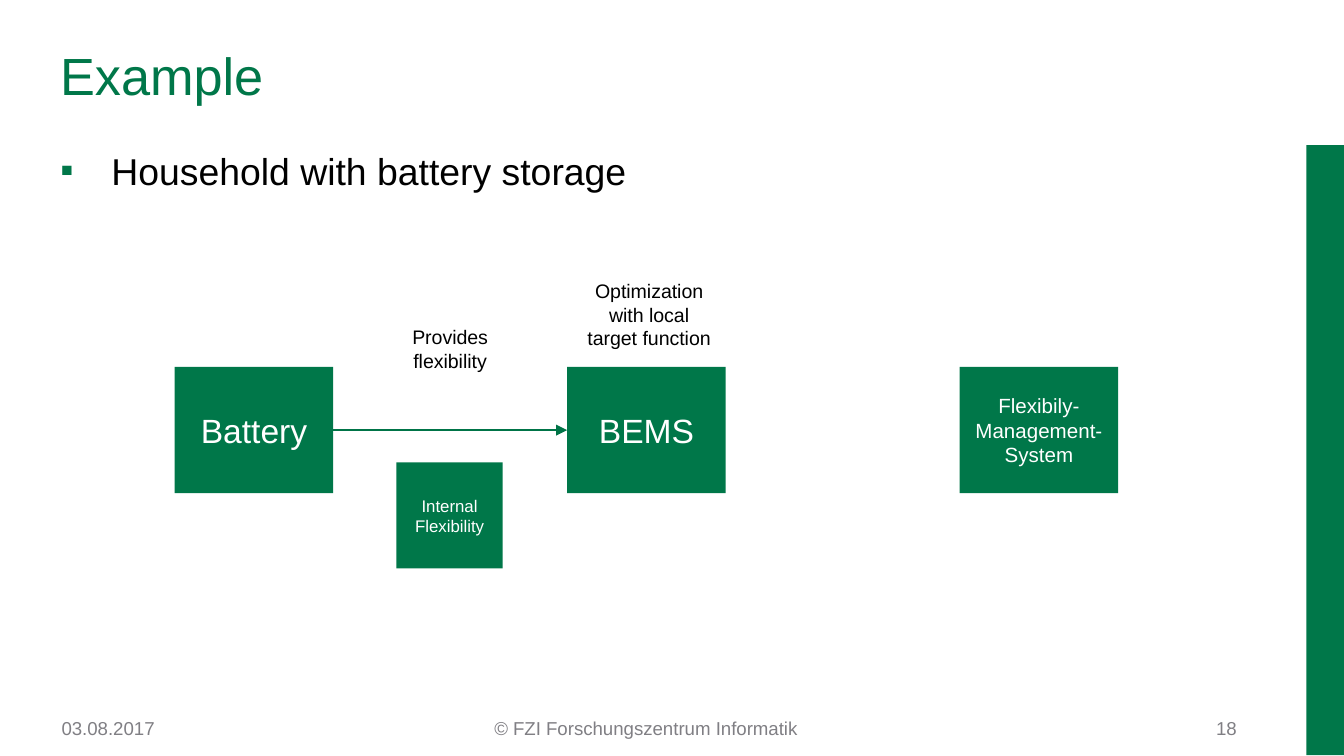
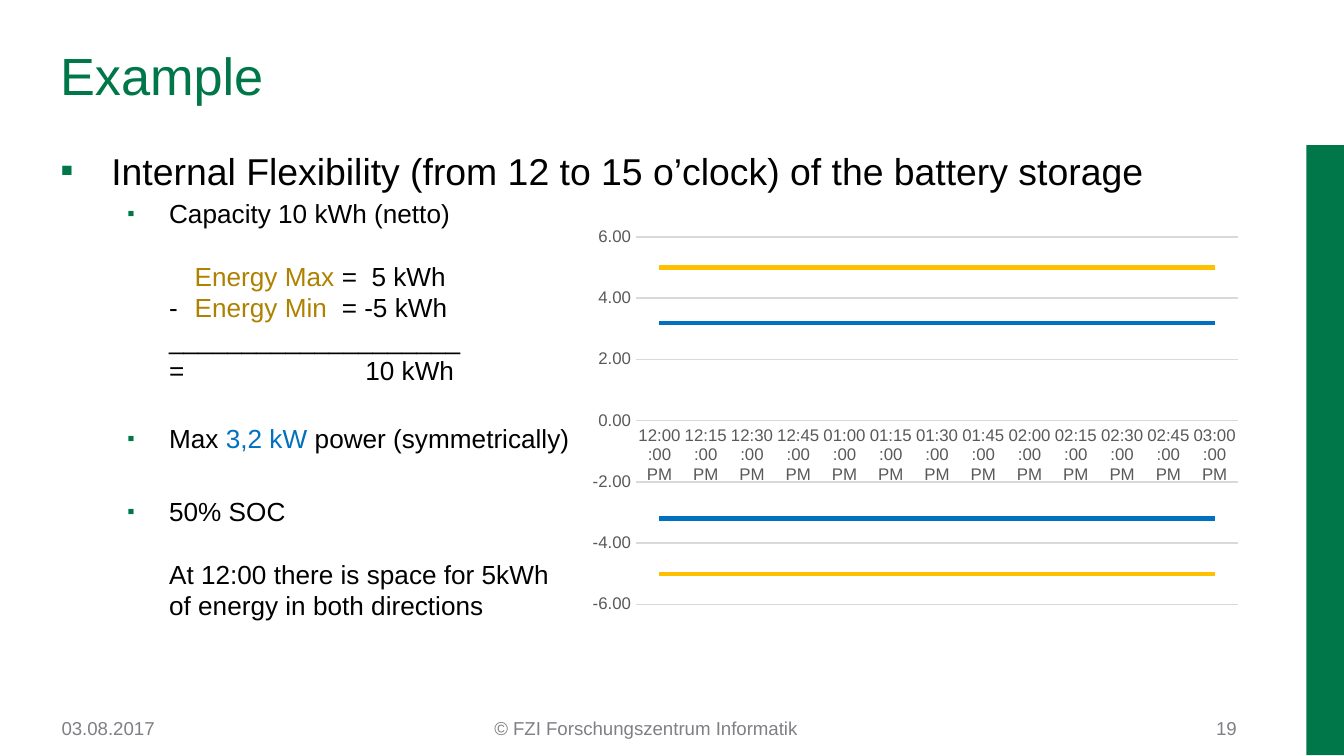
from lxml.etree import SubElement
from pptx import Presentation
from pptx.chart.data import CategoryChartData
from pptx.dml.color import RGBColor
from pptx.enum.chart import XL_CHART_TYPE, XL_TICK_MARK
from pptx.enum.shapes import MSO_CONNECTOR, MSO_SHAPE
from pptx.enum.text import MSO_ANCHOR, PP_ALIGN
from pptx.oxml.ns import qn
from pptx.util import Inches, Pt

FONT = "Arial"
GREEN, BLACK, WHITE = "007749", "000000", "FFFFFF"
GREY, AXIS_TEXT, GRID = "807F84", "595959", "D9D9D9"
GOLD, BLUE, YELLOW = "AE8200", "0070C0", "FFC000"
BODY = (0.35, 1.05, 8.95, 4.16)
LINE = 16.8  # height of one 14 pt line
CLOCK = "hh:mm:ss AM/PM"


def rgb(color):
    return RGBColor.from_string(color)


def inches(*lengths):
    return [Inches(n) for n in lengths]


def add_para(tf, runs, size=14, color=BLACK, align=PP_ALIGN.LEFT, before=0,
             margin=0, indent=0, level=0, bullet=None):
    """Add a paragraph; runs is a string or (text, colour) pairs, bullet a size in percent."""
    p = tf.paragraphs[0]
    if p.runs:
        p = tf.add_paragraph()
    p.level = level
    pPr = p._p.get_or_add_pPr()
    pPr.set("marL", str(Inches(margin)))
    pPr.set("indent", str(Inches(indent)))
    if bullet:
        SubElement(SubElement(pPr, qn("a:buClr")), qn("a:srgbClr"), val=GREEN)
        SubElement(pPr, qn("a:buSzPct"), val=str(bullet * 1000))
        SubElement(pPr, qn("a:buFont"), typeface=FONT)
        SubElement(pPr, qn("a:buChar"), char="▪")
    p.alignment = align
    p.space_before = Pt(before)
    for text, run_color in [(runs, color)] if isinstance(runs, str) else runs:
        r = p.add_run()
        r.text = text
        r.font.name, r.font.size = FONT, Pt(size)
        r.font.color.rgb = rgb(run_color)


def add_text(s, box, *paras, anchor=MSO_ANCHOR.TOP, inset=0.05, **fmt):
    tf = s.shapes.add_textbox(*inches(*box)).text_frame
    tf.word_wrap = True
    tf.vertical_anchor = anchor
    tf.margin_top = tf.margin_bottom = Inches(inset)
    for para in paras:
        add_para(tf, para, **fmt)
    return tf


def add_block(s, box, *paras, size=18):
    """Green rectangle with centred white text."""
    sp = s.shapes.add_shape(MSO_SHAPE.RECTANGLE, *inches(*box))
    sp.shadow.inherit = False
    sp.fill.solid()
    sp.fill.fore_color.rgb = rgb(GREEN)
    sp.line.fill.background()
    tf = sp.text_frame
    tf.word_wrap = True
    tf.vertical_anchor = MSO_ANCHOR.MIDDLE
    for para in paras:
        add_para(tf, para, size=size, color=WHITE, align=PP_ALIGN.CENTER)
    return sp


def add_arrow(s, start, end):
    """Arrow from the right side of start to the left side of end."""
    line = s.shapes.add_connector(MSO_CONNECTOR.STRAIGHT, 0, 0, 0, 0)
    line.begin_connect(start, 3)
    line.end_connect(end, 1)
    line.line.color.rgb = rgb("007447")
    line.line.width = Pt(0.75)
    spPr = line._element.spPr
    SubElement(spPr.find(qn("a:ln")), qn("a:tailEnd"), type="triangle")
    SubElement(spPr, qn("a:effectLst"))


def add_frame(prs, number, heading):
    """New slide with band, title, footer and main bullet; returns it and its body text."""
    s = prs.slides.add_slide(prs.slide_layouts[6])
    add_block(s, (9.72, 1.08, 0.28, 4.54))
    add_text(s, (0.35, 0.18, 8.43, 0.75), "Example", size=28, color=GREEN,
             anchor=MSO_ANCHOR.MIDDLE)
    body = add_text(s, BODY, heading, size=20, margin=0.38, indent=-0.38, bullet=100)
    footer = [
        (0.36, 2.33, "03.08.2017", PP_ALIGN.LEFT),
        (3.22, 3.17, "© FZI Forschungszentrum Informatik", PP_ALIGN.CENTER),
        (6.97, 2.33, str(number), PP_ALIGN.RIGHT),
    ]
    for left, width, text, align in footer:
        add_text(s, (left, 5.33, width, 0.18), text, size=10, color=GREY,
                 align=align, anchor=MSO_ANCHOR.MIDDLE, inset=0)
    return s, body


def add_flow(s, left, top):
    """Battery, BEMS and management system, with captions."""
    step, width, height = 2.92, 1.18, 0.94
    blocks = [("Battery", 18), ("BEMS", 18), ("Flexibily-Management-System", 11)]
    battery, bems, _ = [
        add_block(s, (left + i * step, top, width, height), text, size=size)
        for i, (text, size) in enumerate(blocks)
    ]
    add_arrow(s, battery, bems)
    caption = dict(size=10.5, align=PP_ALIGN.CENTER)
    add_text(s, (left + 1.58, top - 0.36, 0.94, 0.45), "Provides flexibility", **caption)
    add_text(s, (left + 2.94, top - 0.7, 1.18, 0.63),
             "Optimization with local target function", **caption)
    add_block(s, (left + 1.65, top + 0.71, 0.79, 0.79), "Internal", "Flexibility", size=9)


def add_calculation(tf):
    """Second-level points on capacity, power and state of charge."""
    point = dict(level=1, margin=0.81, indent=-0.31, bullet=80)
    plain = dict(level=1, margin=0.81)
    add_para(tf, "Capacity 10 kWh (netto)", before=2.8, **point)
    add_para(tf, [("Energy Max ", GOLD), ("=  5 kWh", BLACK)],
             level=1, margin=1, before=LINE)
    add_para(tf, [("-\t", BLACK), ("Energy Min  ", GOLD), ("= -5 kWh", BLACK)],
             level=1, margin=1, indent=-0.19)
    add_para(tf, "_" * 20, **plain)
    add_para(tf, "=\t10 kWh", level=1, margin=2.27, indent=-1.46)
    add_para(tf, [("Max ", BLACK), ("3,2 kW", BLUE), (" power (symmetrically)", BLACK)],
             before=LINE + 2.8, **point)
    add_para(tf, "50% SOC", before=LINE + 5.6, **point)
    add_para(tf, "At 12:00 there is space for 5kWh", before=LINE, **plain)
    add_para(tf, "of energy in both directions", **plain)


def add_limits_chart(s, box):
    """Constant power and energy limits from 12 to 3 PM."""
    quarters = range(13)
    limits = [(3.2, BLUE), (-3.2, BLUE), (-5, YELLOW), (5, YELLOW)]
    data = CategoryChartData(number_format="0.00")
    # Times are fractions of a day, a quarter of an hour apart
    data.categories = [0.5 + q / 96 for q in quarters]
    data.categories.number_format = CLOCK
    for i, (value, _) in enumerate(limits, 1):
        data.add_series(f"Series {i}", [value for _ in quarters])
    chart = s.shapes.add_chart(XL_CHART_TYPE.LINE, *inches(*box), data).chart
    chart.has_legend = chart.has_title = False
    chart.font.name, chart.font.size = FONT, Pt(10)
    chart.font.color.rgb = rgb(BLACK)

    plot = chart.plots[0]
    plot.vary_by_categories = False
    for series, (_, color) in zip(plot.series, limits):
        series.smooth = False
        series.format.line.color.rgb = rgb(color)
        series.format.line.width = Pt(2.25)

    times, values = chart.category_axis, chart.value_axis
    for axis, number_format in ((times, CLOCK), (values, "0.00")):
        axis.major_tick_mark = axis.minor_tick_mark = XL_TICK_MARK.NONE
        labels = axis.tick_labels
        labels.number_format = number_format
        labels.number_format_is_linked = False
        labels.font.name, labels.font.size = FONT, Pt(9)
        labels.font.color.rgb = rgb(AXIS_TEXT)
    values.minimum_scale, values.maximum_scale, values.major_unit = -6, 6, 2
    values.format.line.fill.background()
    for rule in (times.format.line, values.major_gridlines.format.line):
        rule.color.rgb = rgb(GRID)
        rule.width = Pt(0.75)


def main():
    prs = Presentation()
    prs.slide_width = Inches(10)
    prs.slide_height = prs.slide_width * 9 // 16

    s, _ = add_frame(prs, 18, "Household with battery storage")
    add_flow(s, 1.3, 2.73)

    s, body = add_frame(
        prs, 19, "Internal Flexibility (from 12 to 15 o’clock) of the battery storage")
    add_calculation(body)
    add_limits_chart(s, (4.31, 1.63, 5, 3))

    prs.save("out.pptx")


if __name__ == "__main__":
    main()
